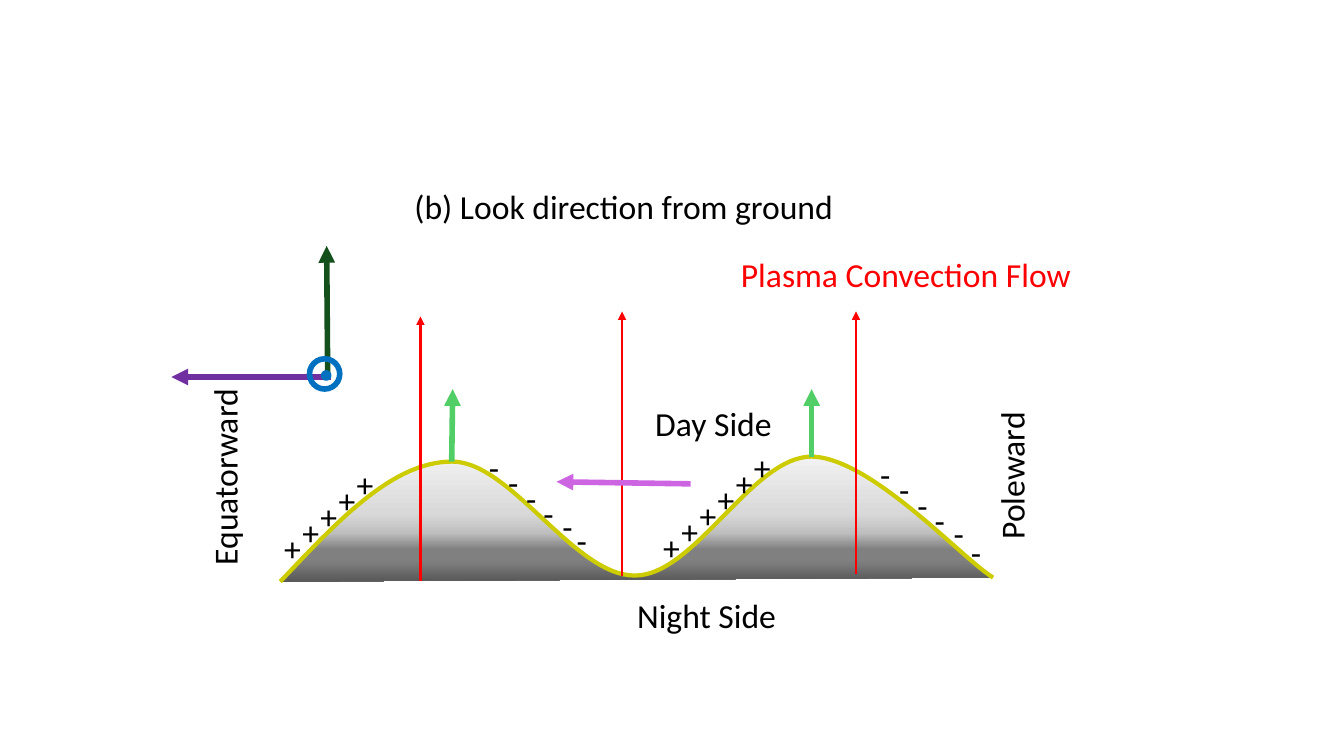
from lxml.etree import SubElement as Sub
from pptx import Presentation
from pptx.dml.color import RGBColor as RGB
from pptx.enum.shapes import MSO_CONNECTOR as Link, MSO_SHAPE as Form
from pptx.enum.text import MSO_ANCHOR as Anchor, MSO_AUTO_SIZE as Fit, PP_ALIGN as Align
from pptx.oxml.ns import qn
from pptx.util import Pt

PX = 9144  # 100 px to the inch
HUES = {
    "black": "000000", "red": "FF0000", "pink": "CD64E2", "purple": "7030A0",
    "forest": "13501B", "green": "52CE67", "blue": "0070C0", "olive": "CCCC00",
}

deck = Presentation()
deck.slide_width, deck.slide_height = 1333 * PX, 750 * PX
slide = deck.slides.add_slide(deck.slide_layouts[5])
shapes = slide.shapes


def color(name):
    return RGB.from_string(HUES[name])


def label(text, left, top, width, hue="black", turn=0, box=None):
    """Write one line of text in a new box or in the given placeholder."""
    at = [n * PX for n in (left, top, width, 50)]
    box = box or shapes.add_textbox(*at)
    box.left, box.top, box.width, box.height = at
    box.rotation = turn
    frame = box.text_frame
    frame.word_wrap = False
    frame.auto_size = Fit.SHAPE_TO_FIT_TEXT
    frame.vertical_anchor = Anchor.TOP
    line = frame.paragraphs[0]
    line.text = text
    line.alignment = Align.LEFT
    line.font.name, line.font.size = "Calibri", Pt(24)
    line.font.color.rgb = color(hue)


# Title
label("(b) Look direction from ground", 401, 179, 439, box=shapes.title)

# Wave: start point, then three control points for each curve
knots = [
    (278, 577),
    (334, 518), (389, 458), (448, 458),
    (506, 457), (570, 572), (630, 571),
    (689, 571), (746, 453), (805, 453),
    (864, 454), (955, 555), (985, 573),
]
pen = shapes.build_freeform(*knots[0], scale=PX)
pen.add_line_segments(knots[1:], close=False)
wave = pen.convert_to_shape()
wave.shadow.inherit = False
wave.line.color.rgb = color("olive")
wave.line.width = Pt(3)

# Turn each three straight segments into one Bezier curve
route = wave._element.find(".//" + qn("a:path"))
legs = route.findall(qn("a:lnTo"))
for i in range(0, len(legs), 3):
    curve = Sub(route, qn("a:cubicBezTo"))
    for leg in legs[i:i + 3]:
        curve.append(leg[0])
        route.remove(leg)

# Grey shading of the wave, light at the top
wave.fill.gradient()
wave.fill.gradient_angle = 270
stops = wave._element.find(".//" + qn("a:gsLst"))
for stop in list(stops):
    stops.remove(stop)
for pos, tone in [(0, "F2F2F2"), (45, "D9D9D9"), (61, "BFBFBF"),
                  (74, "808080"), (83, "808080"), (100, "595959")]:
    stop = Sub(stops, qn("a:gs"), pos=str(pos * 1000))
    Sub(stop, qn("a:srgbClr"), val=tone)

# Positive charges climb the left slopes
for left, top, count in [(272, 519, 5), (648, 518, 6)]:
    for i in range(count):
        label("+", left + 18 * i, top - 16 * i, 37)

# Negative charges go down the right slopes
steps = [(0, 0), (19, 15), (37, 31), (54, 46), (73, 59)]
for left, top, last in [(475, 438, (87, 73)), (863, 445, (90, 78))]:
    for x, y in steps + [last]:
        label("-", left + x, top + y, 31)

# Labels
label("Night Side", 622, 585, 159)
label("Day Side", 640, 395, 137)
label("Equatorward", 124, 447, 197, turn=270)
label("Poleward", 929, 446, 148, turn=270)
label("Plasma Convection Flow", 725, 247, 350, hue="red")

# Arrows: plasma flow, drift, axes, crests
for x1, y1, x2, y2, hue, width in [
    (849, 569, 849, 309, "red", 2),
    (617, 571, 617, 309, "red", 2),
    (417, 576, 417, 314, "red", 2),
    (685, 480, 552, 478, "pink", 4),
    (328, 374, 170, 374, "purple", 4),
    (325, 375, 324, 244, "forest", 4),
    (805, 453, 805, 386, "green", 4),
    (448, 458, 449, 386, "green", 4),
]:
    arrow = shapes.add_connector(Link.STRAIGHT, x1 * PX, y1 * PX, x2 * PX, y2 * PX)
    arrow.line.color.rgb = color(hue)
    arrow.line.width = Pt(width)
    Sub(arrow.line._get_or_add_ln(), qn("a:tailEnd"), type="triangle")
    Sub(arrow._element.spPr, qn("a:effectLst"))

# Out-of-page symbol: ring and dot
for left, top, size, solid in [(307, 356, 30, False), (321, 370, 5, True)]:
    ring = shapes.add_shape(Form.OVAL, left * PX, top * PX, size * PX, size * PX)
    ring.shadow.inherit = False
    ring.line.color.rgb = color("blue")
    ring.line.width = Pt(4)
    if solid:
        ring.fill.solid()
        ring.fill.fore_color.rgb = color("blue")
    else:
        ring.fill.background()

deck.save("out.pptx")
